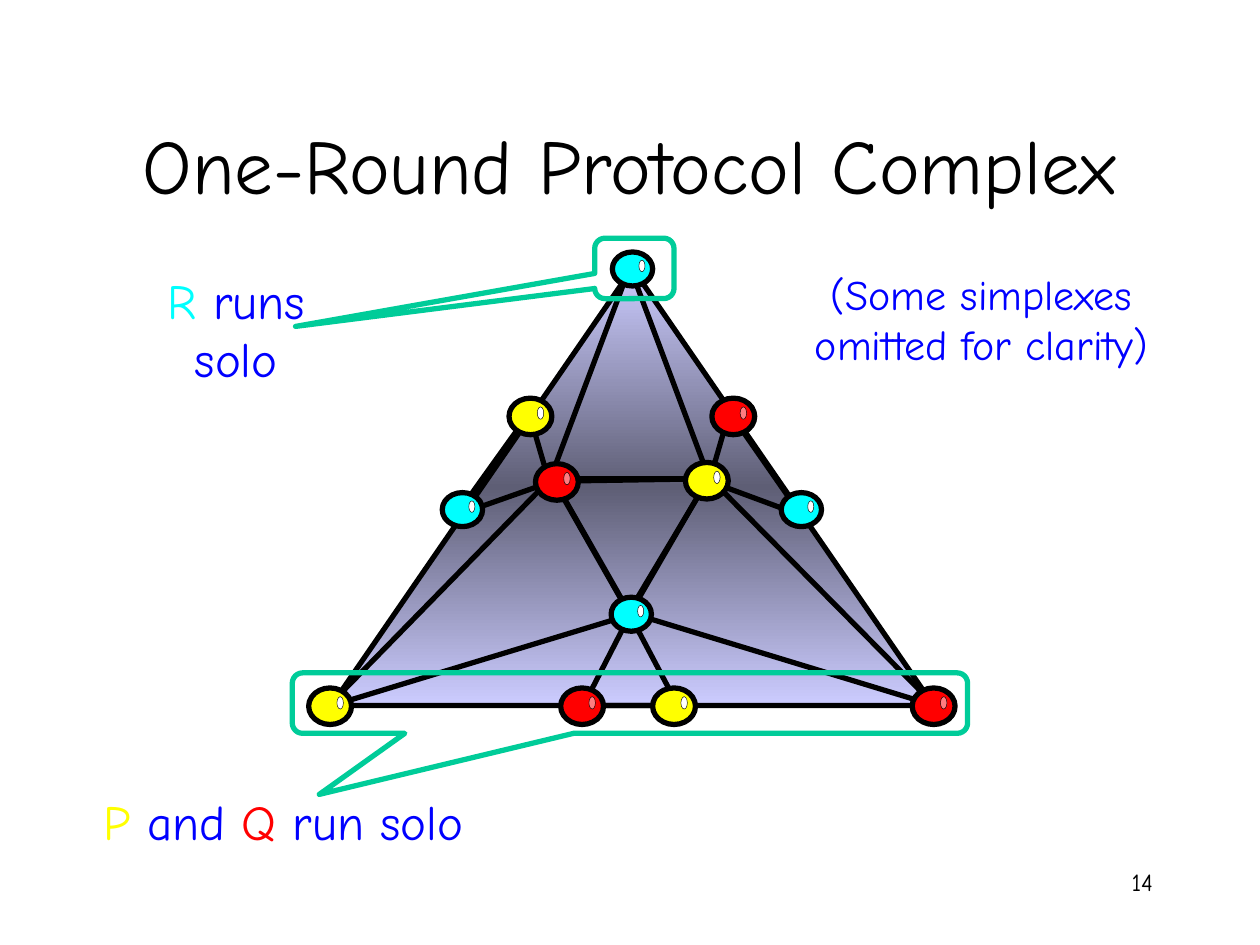
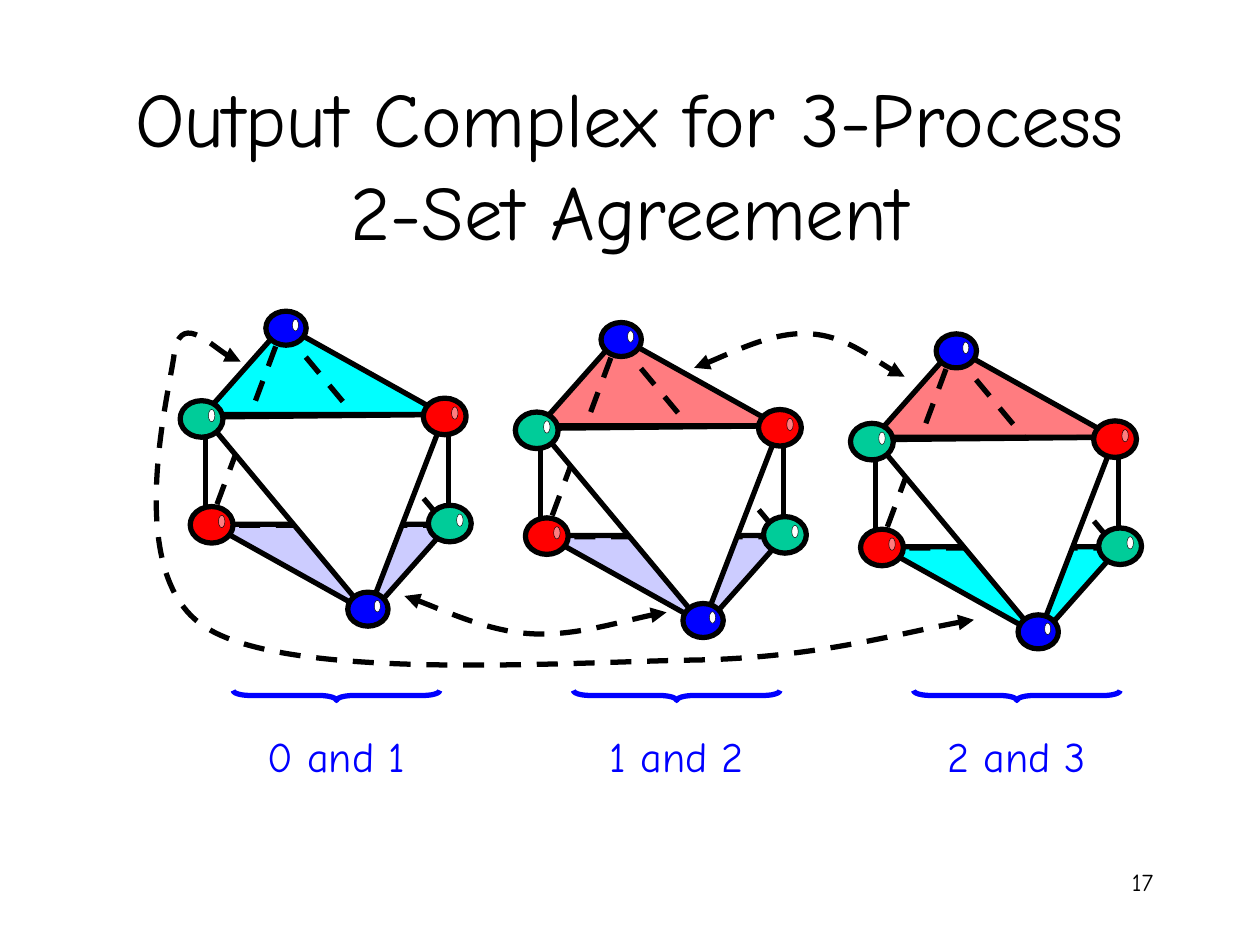
from copy import deepcopy

from lxml import etree
from pptx import Presentation
from pptx.dml.color import RGBColor
from pptx.enum.dml import MSO_LINE
from pptx.enum.shapes import MSO_CONNECTOR, MSO_SHAPE
from pptx.enum.text import MSO_ANCHOR, PP_ALIGN
from pptx.oxml.ns import qn
from pptx.util import Inches, Pt

OVAL, BRACE = MSO_SHAPE.OVAL, MSO_SHAPE.RIGHT_BRACE
CALLOUT = MSO_SHAPE.ROUNDED_RECTANGULAR_CALLOUT
STRAIGHT, DASH = MSO_CONNECTOR.STRAIGHT, MSO_LINE.DASH
TOP, MIDDLE = MSO_ANCHOR.TOP, MSO_ANCHOR.MIDDLE
CENTER, RIGHT = PP_ALIGN.CENTER, PP_ALIGN.RIGHT

BLACK = RGBColor(0x00, 0x00, 0x00)
WHITE = RGBColor(0xFF, 0xFF, 0xFF)
CYAN = RGBColor(0x00, 0xFF, 0xFF)
RED = RGBColor(0xFF, 0x00, 0x00)
PINK = RGBColor(0xFF, 0x7C, 0x80)
YELLOW = RGBColor(0xFF, 0xFF, 0x00)
BLUE = RGBColor(0x00, 0x00, 0xFF)
GREEN = RGBColor(0x00, 0xCC, 0x99)
LAVENDER = RGBColor(0xCC, 0xCC, 0xFF)
SLATE = RGBColor(0x5E, 0x5E, 0x75)

FONT = "Comic Neue"
WIDTH, HEIGHT = 10, 7.5
TITLE_BOX = (0.75, 0.67, 8.5, 1.25)
NUMBER_BOX = (7.17, 6.83, 2.08, 0.5)
NODE_SIZE = {CYAN: (0.32, 0.27), BLUE: (0.32, 0.27)}
WIDE_NODE = (0.34, 0.29)

PROTOCOL = {
    "title": "One-Round Protocol Complex",
    "number": "14",
    "outer": [(5.02, 2.13), (7.41, 5.6), (2.63, 5.6)],
    "triangles": [
        [(4.39, 3.8), (5.62, 3.8), (5, 4.87)],
        [(4.38, 3.79), (5, 4.88), (2.6, 5.61)],
        [(5.63, 3.79), (4.99, 4.86), (7.42, 5.6)],
        [(5, 2.12), (4.36, 3.82), (5.63, 3.8)],
        [(5, 4.88), (5.38, 5.6), (4.63, 5.6)],
        [(5.79, 3.27), (5.63, 3.82), (6.36, 4.09)],
        [(4.2, 3.28), (4.36, 3.83), (3.62, 4.09)],
    ],
    "nodes": [
        (CYAN, 4.86, 2), (CYAN, 4.85, 4.74), (RED, 4.25, 3.68),
        (YELLOW, 5.44, 3.67), (YELLOW, 2.45, 5.46), (YELLOW, 5.18, 5.46),
        (RED, 7.24, 5.46), (RED, 4.45, 5.46), (RED, 5.65, 3.16),
        (YELLOW, 4.04, 3.16), (CYAN, 3.51, 3.91), (CYAN, 6.2, 3.91),
    ],
    "labels": [
        ((1.08, 2.09, 1.59, 1.04), 28, [("R", CYAN), (" runs solo", BLUE)]),
        ((0.48, 6.23, 3.54, 0.57), 28,
         [("P", YELLOW), (" and ", BLUE), ("Q", RED), (" run solo", BLUE)]),
        ((6.08, 2.08, 3.42, 0.9), 24,
         [("(Some simplexes omitted for clarity)", BLUE)]),
    ],
    "callouts": [
        ((4.72, 1.89, 0.63, 0.48), (-4.27, 0.96, 0.17)),
        ((2.32, 5.34, 5.36, 0.48), (-0.46, 1.51, 0.17)),
    ],
}

OUTPUT = {
    "title": "Output Complex for 3-Process 2-Set Agreement",
    "number": "17",
    "panels": [("0 and 1", CYAN, LAVENDER), ("1 and 2", PINK, LAVENDER),
               ("2 and 3", PINK, CYAN)],
    "arrows": [
        [(5.51, 2.92), (5.66, 2.87), (6.14, 2.63), (6.42, 2.65),
         (6.7, 2.66), (7.02, 2.92), (7.18, 2.99)],
        [(3.21, 4.73), (3.38, 4.78), (3.87, 5.01), (4.22, 5.03),
         (4.56, 5.05), (5.07, 4.89), (5.29, 4.86)],
        [(1.91, 2.87), (1.82, 2.87), (1.42, 2.47), (1.38, 2.83),
         (1.33, 3.18), (0.97, 4.59), (1.65, 4.99),
         (2.33, 5.4), (4.43, 5.26), (5.45, 5.24),
         (6.46, 5.23), (7.26, 4.99), (7.73, 4.92)],
    ],
}
PANEL_STEP = (2.66, 0.09)
LABEL_STEP = 2.7
LOWER = [(1.67, 4.16), (3.57, 4.16), (2.94, 4.87)]
UPPER = [(1.62, 3.29), (3.52, 3.29), (2.25, 2.58)]
BACK = [(2.24, 2.61), (3.54, 4.17), (1.66, 4.17)]
FRONT = [(1.62, 3.31), (3.53, 3.29), (2.92, 4.87)]
SIDES = [[(3.56, 3.28), (3.56, 4.17)], [(1.63, 3.26), (1.63, 4.17)]]
PANEL_NODES = [(BLUE, 2.11, 2.47), (BLUE, 2.76, 4.7), (RED, 3.36, 3.16),
               (RED, 1.51, 4.02), (GREEN, 1.43, 3.18), (GREEN, 3.4, 4.01)]


def style(shape, fill=None, line=BLACK, width=3, dash=None):
    shape.shadow.inherit = False
    if fill is None:
        shape.fill.background()
    else:
        shape.fill.solid()
        shape.fill.fore_color.rgb = fill
    shape.line.color.rgb = line
    shape.line.width = Pt(width)
    if dash:
        shape.line.dash_style = dash
    return shape


def add_shape(s, kind, box, **look):
    return style(s.shapes.add_shape(kind, *map(Inches, box)), **look)


def outline(s, points, close=True, **look):
    start, *rest = [(Inches(x), Inches(y)) for x, y in points]
    fb = s.shapes.build_freeform(*start)
    fb.add_line_segments(rest, close=close)
    return style(fb.convert_to_shape(), **look)


def add_text(s, box, size, runs, align=CENTER, anchor=MIDDLE):
    tf = s.shapes.add_textbox(*map(Inches, box)).text_frame
    tf.word_wrap = True
    tf.vertical_anchor = anchor
    p = tf.paragraphs[0]
    p.alignment = align
    p.font.name, p.font.size = FONT, Pt(size)
    for text, color in runs:
        r = p.add_run()
        r.text = text
        r.font.color.rgb = color


def add_node(s, color, left, top):
    w, h = NODE_SIZE.get(color, WIDE_NODE)
    add_shape(s, OVAL, (left, top, w, h), fill=color)
    glint = (left + 0.66 * w, top + 0.24 * h, 0.15 * w, 0.34 * h)
    add_shape(s, OVAL, glint, fill=PINK if color == RED else WHITE, width=0.25)


def add_edge(s, start, end):
    line = s.shapes.add_connector(STRAIGHT, *map(Inches, (*start, *end)))
    line.line.color.rgb = BLACK
    line.line.width = Pt(3)
    etree.SubElement(line._element.spPr, qn("a:effectLst"))


def add_curved_arrow(s, points):
    shape = outline(s, points, close=False, dash=DASH)
    segments = list(shape._element.iter(qn("a:lnTo")))
    for i in range(0, len(segments), 3):
        curve = etree.Element(qn("a:cubicBezTo"))
        segments[i].addprevious(curve)
        for segment in segments[i:i + 3]:
            curve.append(segment[0])
            segment.getparent().remove(segment)
    ln = shape.line._get_or_add_ln()
    for end in ("a:headEnd", "a:tailEnd"):
        etree.SubElement(ln, qn(end), type="triangle")


def shade(shape):
    shape.fill.gradient()
    shape.fill.gradient_angle = 90
    stop_list = next(shape._element.iter(qn("a:gsLst")))
    stop_list.append(deepcopy(stop_list[-1]))
    colors = (LAVENDER, SLATE, LAVENDER)
    for i, (stop, color) in enumerate(zip(shape.fill.gradient_stops, colors)):
        stop.position = i / 2
        stop.color.rgb = color


def add_slide(prs, content):
    s = prs.slides.add_slide(prs.slide_layouts[6])
    add_text(s, TITLE_BOX, 44, [(content["title"], BLACK)])
    add_text(s, NUMBER_BOX, 14, [(content["number"], BLACK)], RIGHT, TOP)
    return s


def build_protocol(prs):
    s = add_slide(prs, PROTOCOL)
    shade(outline(s, PROTOCOL["outer"]))
    for points in PROTOCOL["triangles"]:
        outline(s, points)
    for node in PROTOCOL["nodes"]:
        add_node(s, *node)
    for label in PROTOCOL["labels"]:
        add_text(s, *label)
    for box, adjustments in PROTOCOL["callouts"]:
        callout = add_shape(s, CALLOUT, box, line=GREEN)
        for i, value in enumerate(adjustments):
            callout.adjustments[i] = value


def build_output(prs):
    s = add_slide(prs, OUTPUT)
    for k, (label, upper, lower) in enumerate(OUTPUT["panels"]):
        dx, dy = (k * step for step in PANEL_STEP)

        def moved(points):
            return [(x + dx, y + dy) for x, y in points]

        outline(s, moved(LOWER), fill=lower)
        outline(s, moved(UPPER), fill=upper)
        outline(s, moved(BACK), dash=DASH)
        outline(s, moved(FRONT), fill=WHITE)
        for side in SIDES:
            add_edge(s, *moved(side))
        for color, left, top in PANEL_NODES:
            add_node(s, color, left + dx, top + dy)

        shift = k * LABEL_STEP
        brace = add_shape(s, BRACE, (2.63 + shift, 4.7, 0.08, 1.64), line=BLUE)
        brace.rotation = 90
        brace.adjustments[0] = 1.67
        add_text(s, (1.87 + shift, 5.75, 1.6, 0.5), 24, [(label, BLUE)])
    for points in OUTPUT["arrows"]:
        add_curved_arrow(s, points)


def main():
    prs = Presentation()
    prs.slide_width, prs.slide_height = Inches(WIDTH), Inches(HEIGHT)
    build_protocol(prs)
    build_output(prs)
    prs.save("out.pptx")


if __name__ == "__main__":
    main()
